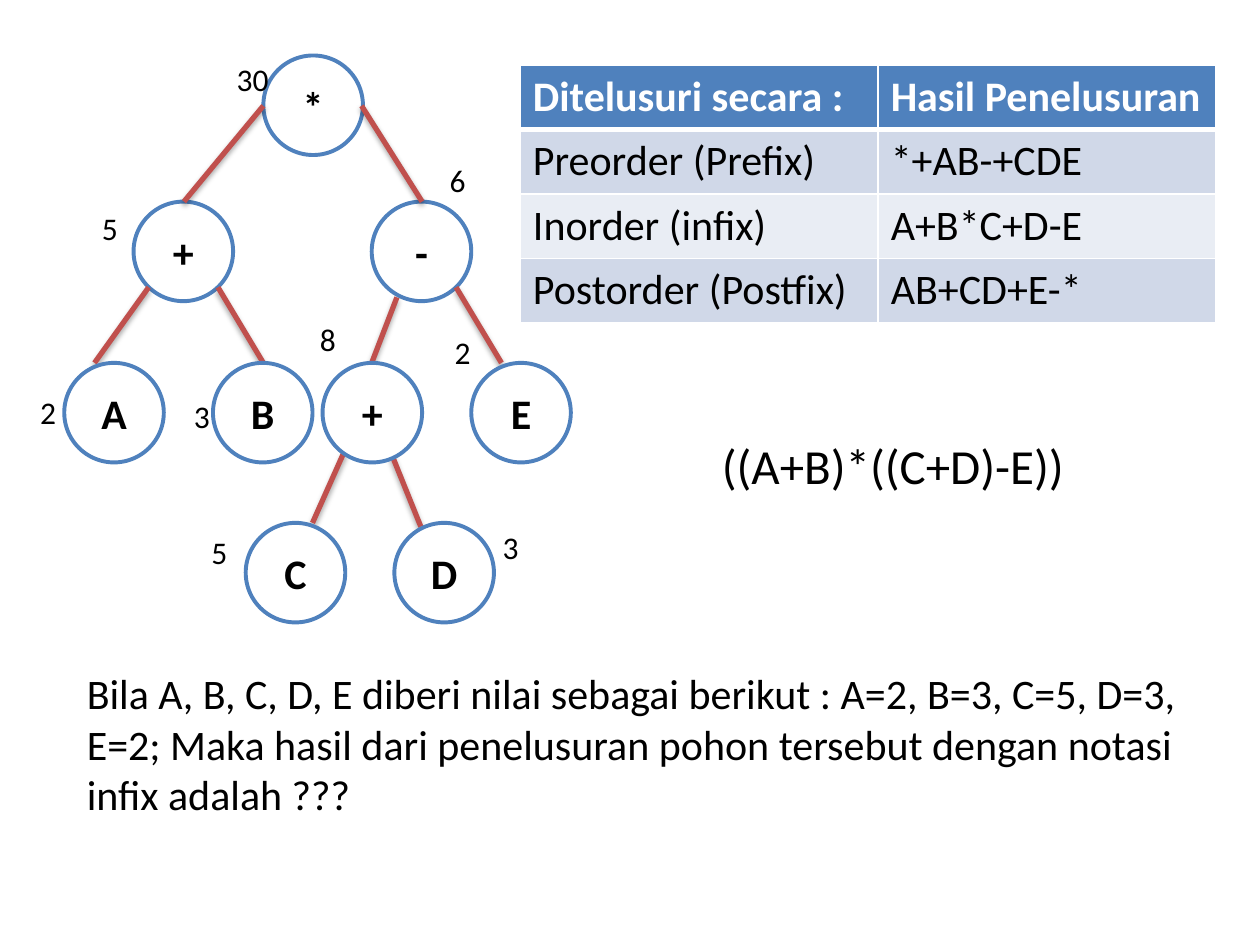
"""Build a slide on traversing an expression tree."""
from lxml import etree
from pptx import Presentation
from pptx.dml.color import RGBColor
from pptx.enum.shapes import MSO_CONNECTOR as Link, MSO_SHAPE as Kind
from pptx.enum.text import MSO_ANCHOR as Anchor, PP_ALIGN as Align
from pptx.oxml import parse_xml
from pptx.oxml.ns import nsdecls, qn
from pptx.util import Inches, Pt

BLACK = RGBColor(0x00, 0x00, 0x00)
WHITE = RGBColor(0xFF, 0xFF, 0xFF)
BLUE = RGBColor(0x4F, 0x81, 0xBD)
RED = RGBColor(0xC0, 0x50, 0x4D)
BANDS = [RGBColor(0xE9, 0xED, 0xF4), RGBColor(0xD0, 0xD8, 0xE8)]
FONT = "Calibri"
SIZE = 0.79
COLS = [2.84, 2.68]
ROW = 0.51

ROWS = [
    ("Ditelusuri secara :", "Hasil Penelusuran"),
    ("Preorder (Prefix)", "*+AB-+CDE"),
    ("Inorder (infix)", "A+B*C+D-E"),
    ("Postorder (Postfix)", "AB+CD+E-*"),
]
LEVELS = [0.44, 1.6, 2.88, 4.15]
UPPER = [("*", 2.09, 0), ("+", 1.06, 1), ("-", 2.95, 1)]
LOWER = [
    ("A", 0.51, 2), ("B", 1.69, 2), ("+", 2.56, 2), ("E", 3.74, 2),
    ("C", 1.95, 3), ("D", 3.13, 3),
]
EDGES = [
    (2.09, 0.84, 1.46, 1.6), (2.87, 0.84, 3.35, 1.6),
    (1.18, 2.28, 0.75, 2.88), (3.15, 2.36, 2.95, 2.88),
    (1.73, 2.28, 2.09, 2.88), (3.62, 2.28, 3.98, 2.88),
    (2.73, 3.59, 2.48, 4.15), (3.11, 3.61, 3.34, 4.18),
]
VALUES = [
    ("2", 0.22, 3.07), ("3", 1.44, 3.1), ("5", 0.71, 1.61),
    ("5", 1.58, 4.18), ("3", 3.89, 4.14), ("8", 2.44, 2.49),
    ("2", 3.51, 2.59), ("6", 3.47, 1.23), ("30", 1.78, 0.43),
]
TASK = (
    "Bila A, B, C, D, E diberi nilai sebagai berikut : A=2, B=3, C=5, D=3, "
    "E=2; Maka hasil dari penelusuran pohon tersebut dengan notasi infix "
    "adalah ???"
)
FORMULA = "((A+B)*((C+D)-E))"


def write(frame, text, size, color=BLACK, bold=False):
    frame.text = text
    font = frame.paragraphs[0].runs[0].font
    font.name, font.size, font.bold = FONT, Pt(size), bold
    font.color.rgb = color


def add_text(slide, text, box, size, wrap=False):
    frame = slide.shapes.add_textbox(*map(Inches, box)).text_frame
    frame.word_wrap = wrap
    write(frame, text, size)


def add_node(slide, text, left, level):
    box = left, LEVELS[level], SIZE, SIZE
    node = slide.shapes.add_shape(Kind.OVAL, *map(Inches, box))
    node.shadow.inherit = False
    node.fill.solid()
    node.fill.fore_color.rgb = WHITE
    node.line.color.rgb = BLUE
    node.line.width = Pt(2.25)
    write(node.text_frame, text, 24, bold=True)
    node.text_frame.vertical_anchor = Anchor.MIDDLE
    node.text_frame.paragraphs[0].alignment = Align.CENTER


def add_edge(slide, ends):
    edge = slide.shapes.add_connector(Link.STRAIGHT, *map(Inches, ends))
    edge.line.color.rgb = RED
    edge.line.width = Pt(3)
    edge._element.spPr.append(parse_xml(
        f'<a:effectLst {nsdecls("a")}><a:outerShdw blurRad="{Pt(3.1)}" '
        f'dist="{Pt(1.8)}" dir="5400000" rotWithShape="0">'
        f'<a:srgbClr val="{BLACK}"><a:alpha val="35000"/></a:srgbClr>'
        '</a:outerShdw></a:effectLst>'))


def add_border(cell, side, width):
    line = etree.SubElement(
        cell._tc.get_or_add_tcPr(), qn("a:ln" + side), w=str(Pt(width)))
    fill = etree.SubElement(line, qn("a:solidFill"))
    etree.SubElement(fill, qn("a:srgbClr"), val=str(WHITE))


def add_grid(slide):
    box = 4.13, 0.52, sum(COLS), ROW * len(ROWS)
    grid = slide.shapes.add_table(
        len(ROWS), len(COLS), *map(Inches, box)).table
    for col, width in zip(grid.columns, COLS):
        col.width = Inches(width)
    for i, row in enumerate(ROWS):
        grid.rows[i].height = Inches(ROW)
        head = i == 0
        for j, text in enumerate(row):
            cell = grid.cell(i, j)
            for side in "LRTB":
                thick = (head and side == "B") or (i == 1 and side == "T")
                add_border(cell, side, 3 if thick else 1)
            cell.fill.solid()
            cell.fill.fore_color.rgb = BLUE if head else BANDS[i % 2]
            write(cell.text_frame, text, 24, WHITE if head else BLACK, head)


deck = Presentation()
deck.slide_width, deck.slide_height = Inches(10), Inches(7.5)
slide = deck.slides.add_slide(deck.slide_layouts[6])
add_grid(slide)
for node in UPPER:
    add_node(slide, *node)
for ends in EDGES:
    add_edge(slide, ends)
for node in LOWER:
    add_node(slide, *node)
add_text(slide, TASK, (0.59, 5.25, 9.21, 2.12), 24, wrap=True)
for text, left, top in VALUES:
    add_text(slide, text, (left, top, 0.2 + 0.13 * len(text), 0.4), 18)
add_text(slide, FORMULA, (5.63, 3.41, 2.95, 0.57), 28)
deck.save("out.pptx")
